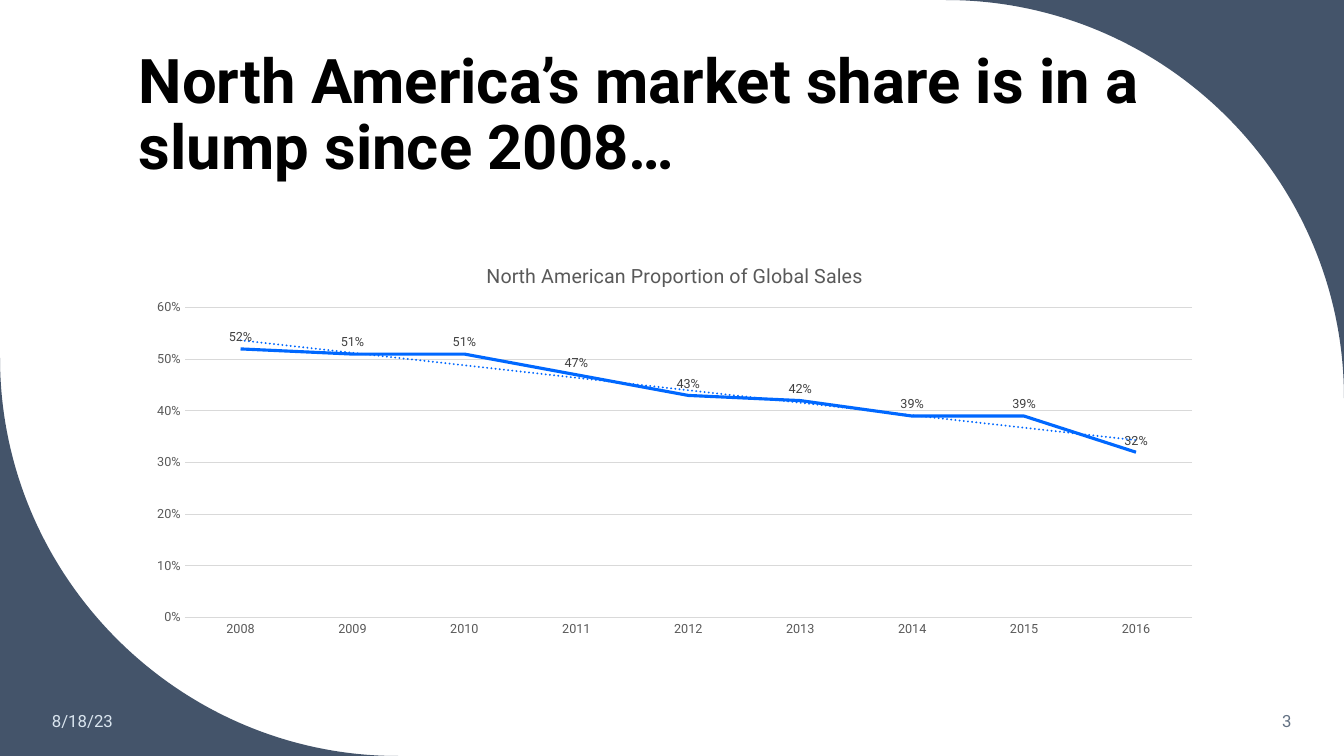
import pptx
import pptx.chart.data
import pptx.dml.color
import pptx.enum.chart
import pptx.enum.text
import pptx.oxml
import pptx.oxml.ns
import pptx.util

Pt = pptx.util.Pt
RGBColor = pptx.dml.color.RGBColor
Anchor = pptx.enum.text.MSO_ANCHOR
Align = pptx.enum.text.PP_ALIGN

FONT = "Roboto"
SLATE = RGBColor(0x44, 0x54, 0x6A)
BLACK = RGBColor(0, 0, 0)
BLUE = RGBColor(0x00, 0x68, 0xFF)
GRID_GREY = RGBColor(0xD9, 0xD9, 0xD9)
AXIS_GREY = RGBColor(0x59, 0x59, 0x59)
LABEL_GREY = RGBColor(0x40, 0x40, 0x40)
DATE_BLUE = RGBColor(0xDA, 0xE5, 0xEF)
NUMBER_GREY = RGBColor(0x63, 0x71, 0x83)

PAGE_WIDTH, PAGE_HEIGHT = 960, 540
CORNER_SIZE = 284.4
ARC_HANDLE = 0.55  # handle length of a quarter circle, as a share of its radius

YEARS = [str(year) for year in range(2008, 2017)]
SHARES = [0.52, 0.51, 0.51, 0.47, 0.43, 0.42, 0.39, 0.39, 0.32]

TRENDLINE = f"""<c:trendline {pptx.oxml.ns.nsdecls("c", "a")}>
  <c:spPr><a:ln w="19050" cap="rnd">
    <a:solidFill><a:srgbClr val="{BLUE}"/></a:solidFill><a:prstDash val="sysDot"/>
  </a:ln></c:spPr>
  <c:trendlineType val="linear"/><c:dispRSqr val="0"/><c:dispEq val="0"/>
</c:trendline>"""

PLOT_LAYOUT = f"""<c:layout {pptx.oxml.ns.nsdecls("c")}><c:manualLayout>
  <c:layoutTarget val="inner"/><c:xMode val="edge"/><c:yMode val="edge"/>
  <c:x val="0.045"/><c:y val="0.157"/><c:w val="0.935"/><c:h val="0.777"/>
</c:manualLayout></c:layout>"""


def set_font(font, size, color, bold=False):
    font.name = FONT
    font.size = Pt(size)
    font.bold = bold
    font.color.rgb = color


def bend_last_lines(shape):
    """Turn the last three lines of an outline into one Bézier curve."""
    lines = list(shape._element.iter(pptx.oxml.ns.qn("a:lnTo")))[-3:]
    curve = pptx.oxml.parse_xml(f'<a:cubicBezTo {pptx.oxml.ns.nsdecls("a")}/>')
    lines[0].addprevious(curve)
    for line in lines:
        curve.append(line[0])
        line.getparent().remove(line)


def add_corner(page, corner_x, corner_y, direction):
    """Fill a page corner outside a quarter circle; direction 1 is bottom left, -1 top right."""
    reach = direction * CORNER_SIZE
    near = reach * (1 - ARC_HANDLE)
    offsets = [(reach, 0), (near, 0), (0, near), (0, reach)]
    points = [(Pt(corner_x + right), Pt(corner_y - up)) for right, up in offsets]
    builder = page.shapes.build_freeform(Pt(corner_x), Pt(corner_y))
    builder.add_line_segments(points, close=True)
    corner = builder.convert_to_shape()
    bend_last_lines(corner)
    corner.fill.solid()
    corner.fill.fore_color.rgb = SLATE
    corner.line.fill.background()
    corner.shadow.inherit = False


def add_text(page, box, text, size, color, bold=False,
             align=Align.LEFT, anchor=Anchor.MIDDLE, line_spacing=1.0):
    frame = page.shapes.add_textbox(*map(Pt, box)).text_frame
    frame.word_wrap = True
    frame.vertical_anchor = anchor
    para = frame.paragraphs[0]
    para.text = text
    para.alignment = align
    para.line_spacing = line_spacing
    set_font(para.font, size, color, bold)


def style_axes(chart):
    for axis in (chart.category_axis, chart.value_axis):
        axis.major_tick_mark = pptx.enum.chart.XL_TICK_MARK.NONE
        set_font(axis.tick_labels.font, 9, AXIS_GREY)
    shares = chart.value_axis
    shares.minimum_scale, shares.maximum_scale, shares.major_unit = 0, 0.6, 0.1
    shares.tick_labels.number_format = "0%"
    shares.tick_labels.number_format_is_linked = False
    shares.format.line.fill.background()
    for line in (chart.category_axis.format.line, shares.major_gridlines.format.line):
        line.color.rgb = GRID_GREY
        line.width = Pt(0.75)


def style_series(series):
    series.smooth = False
    series.marker.style = pptx.enum.chart.XL_MARKER_STYLE.NONE
    series.format.line.color.rgb = BLUE
    series.format.line.width = Pt(2.25)
    labels = series.data_labels
    labels.show_value = True
    labels.position = pptx.enum.chart.XL_LABEL_POSITION.ABOVE
    labels.number_format = "0%"
    labels.number_format_is_linked = False
    set_font(labels.font, 9, LABEL_GREY)
    categories = series._element.find(pptx.oxml.ns.qn("c:cat"))
    categories.addprevious(pptx.oxml.parse_xml(TRENDLINE))


def add_share_chart(page, box):
    data = pptx.chart.data.CategoryChartData(number_format="0%")
    data.categories = YEARS
    data.add_series("Series 1", SHARES)
    chart = page.shapes.add_chart(
        pptx.enum.chart.XL_CHART_TYPE.LINE, *map(Pt, box), data).chart
    set_font(chart.font, 10, BLACK)
    chart.has_legend = False
    chart.has_title = True
    title = chart.chart_title.text_frame.paragraphs[0]
    title.text = "North American Proportion of Global Sales"
    set_font(title.font, 14, AXIS_GREY)
    chart.plots[0].vary_by_categories = False
    style_axes(chart)
    style_series(chart.plots[0].series[0])
    plot_area = chart._chartSpace.chart.plotArea
    for layout in plot_area.findall(pptx.oxml.ns.qn("c:layout")):
        plot_area.remove(layout)
    plot_area.insert(0, pptx.oxml.parse_xml(PLOT_LAYOUT))


def build_market_share_page(deck):
    page = deck.slides.add_slide(deck.slide_layouts[6])
    add_corner(page, PAGE_WIDTH, 0, -1)
    add_corner(page, 0, PAGE_HEIGHT, 1)
    add_text(page, (92, 30, 770, 104.4),
             "North America’s market share is in a slump since 2008…",
             44, BLACK, bold=True, anchor=Anchor.BOTTOM, line_spacing=0.9)
    add_text(page, (30, 500.4, 134, 28.8), "8/18/23", 12, DATE_BLUE)
    add_text(page, (799.2, 500.4, 130.4, 28.8), "3", 12, NUMBER_GREY, align=Align.RIGHT)
    add_share_chart(page, (97.2, 175, 769.7, 285))


def main():
    deck = pptx.Presentation()
    deck.slide_width, deck.slide_height = Pt(PAGE_WIDTH), Pt(PAGE_HEIGHT)
    build_market_share_page(deck)
    deck.save("out.pptx")


if __name__ == "__main__":
    main()
